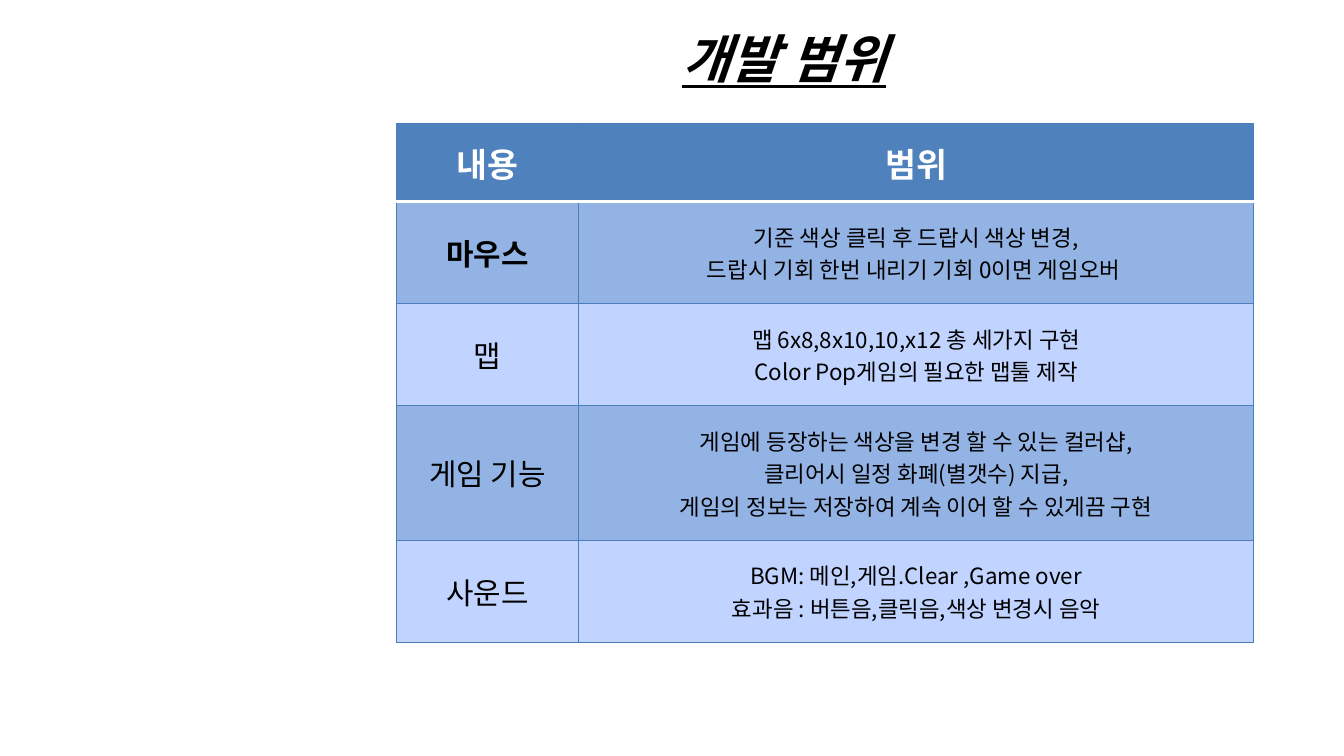
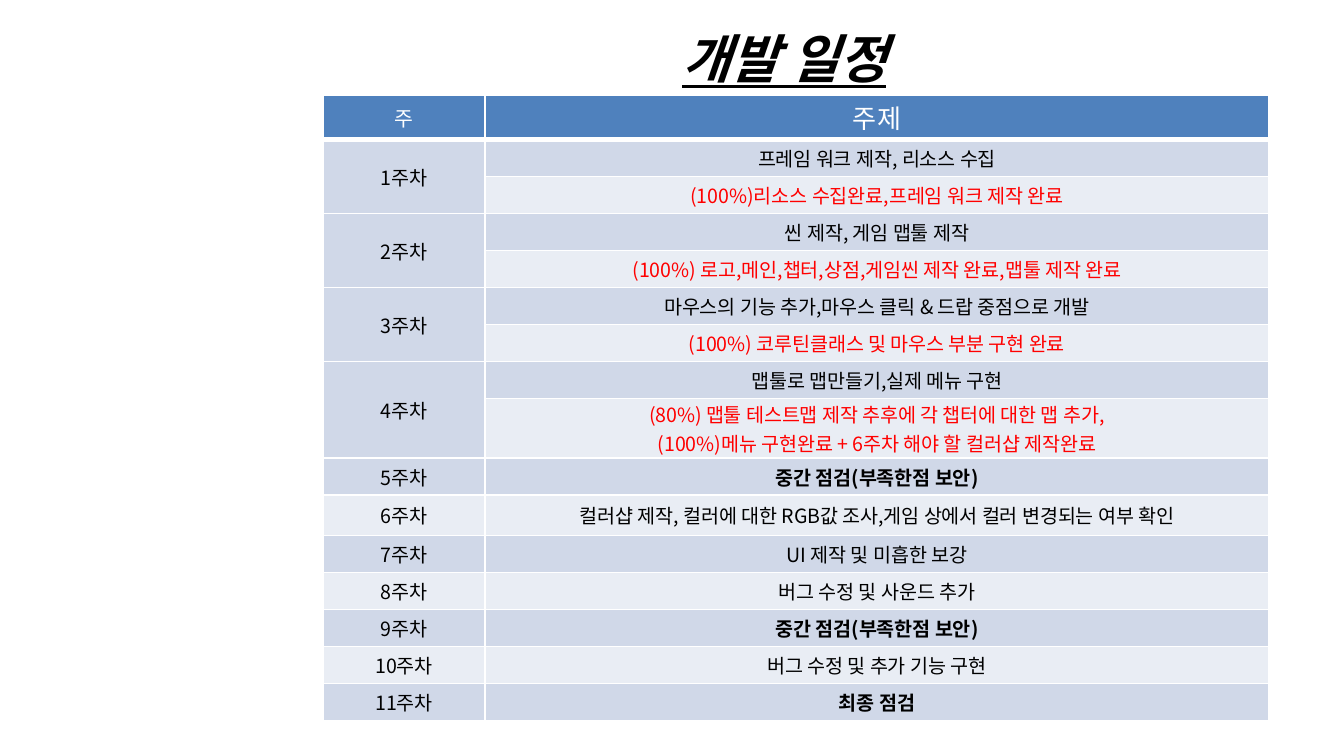
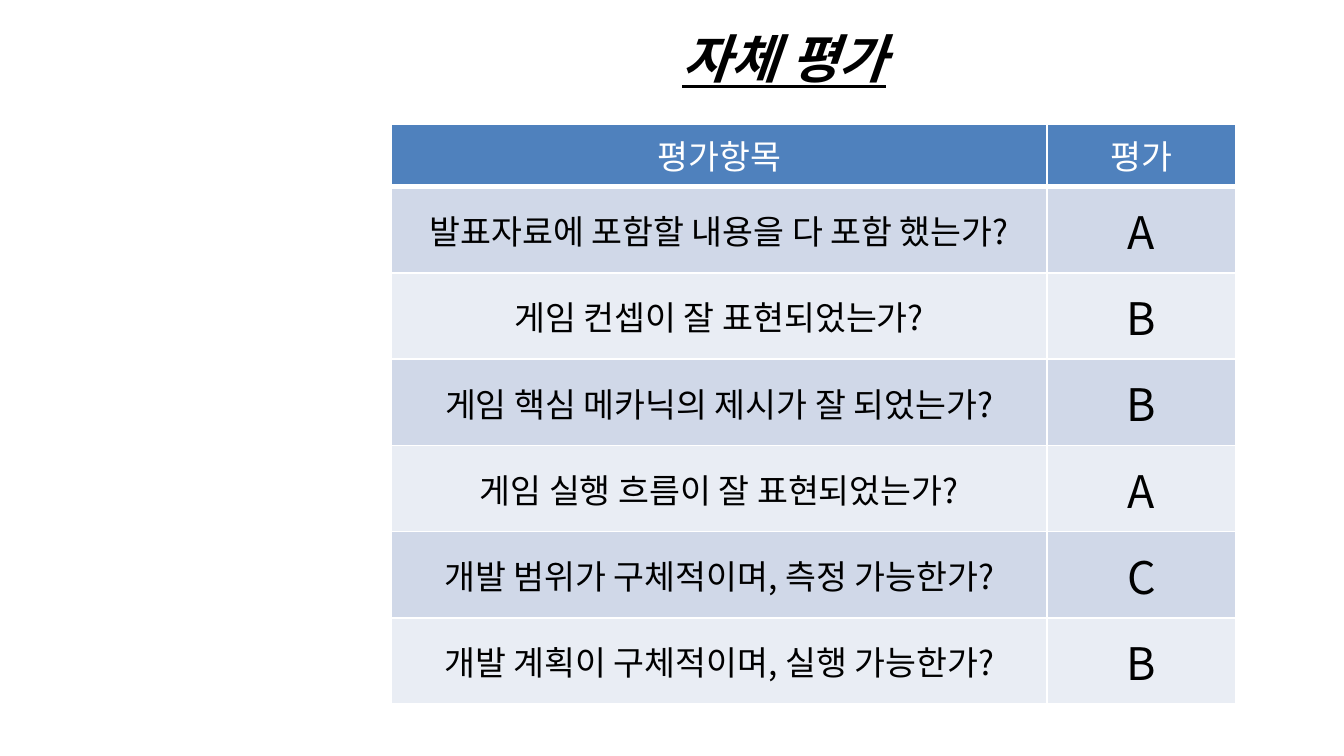
from lxml import etree
from pptx import Presentation
from pptx.dml.color import RGBColor
from pptx.enum.text import MSO_ANCHOR, MSO_AUTO_SIZE, PP_ALIGN
from pptx.oxml.ns import qn
from pptx.util import Cm, Pt

CENTER = PP_ALIGN.CENTER
MIDDLE = MSO_ANCHOR.MIDDLE
GROW = MSO_AUTO_SIZE.SHAPE_TO_FIT_TEXT
TITLE_ONLY = 5

FONT = "Noto Sans CJK KR"
HEADER_FONT = "Calibri"
BLACK, WHITE, RED = "000000", "FFFFFF", "FF0000"
HEADER_FILL = "4F81BD"
GREY_BANDS = ("E9EDF4", "D0D8E8")
BLUE_BANDS = ("C0D4FF", "93B3E5")
BLUE_LINE = "4B7EBC"

TITLE_BOX = (8.1, 0.36, 13.44, 1.45)
TITLE_FORMAT = {"size": Pt(28), "bold": True, "italic": True, "underline": True}

DONE = {"color": RED}
BOLD = {"bold": True}


def rgb(color):
    """Return the colour of a hex string."""
    return RGBColor.from_string(color)


def write(tf, text, name=FONT, color=BLACK, **formats):
    """Fill a text frame with centred paragraphs, one for each line."""
    for i, line in enumerate(text.split("\n")):
        p = tf.add_paragraph() if i else tf.paragraphs[0]
        p.alignment = CENTER
        r = p.add_run()
        r.text = line
        r.font.name = name
        r.font.color.rgb = rgb(color)
        for key, value in formats.items():
            setattr(r.font, key, value)
        if name == FONT:
            etree.SubElement(r.font._element, qn("a:ea"), typeface=name)


def add_titled_slide(prs, text):
    """Add a slide with the shared title."""
    s = prs.slides.add_slide(prs.slide_layouts[TITLE_ONLY])
    sp = s.shapes.title
    sp.left, sp.top, sp.width, sp.height = map(Cm, TITLE_BOX)
    tf = sp.text_frame
    tf.word_wrap = True
    tf.auto_size = GROW
    tf.vertical_anchor = MIDDLE
    tf.margin_top = tf.margin_bottom = 0
    write(tf, text, **TITLE_FORMAT)
    return s


def set_border(cell, side, color, width):
    """Draw one side of a cell: L, R, T or B."""
    tcPr = cell._tc.get_or_add_tcPr()
    ln = etree.SubElement(tcPr, qn("a:ln" + side), w=str(Pt(width)))
    fill = etree.SubElement(ln, qn("a:solidFill"))
    etree.SubElement(fill, qn("a:srgbClr"), val=color)


def add_grid(s, left, top, widths, heights, rows, sizes, header,
             bands=GREY_BANDS, line=(WHITE, 1), rule=(WHITE, 3), margin=0.13):
    """Add a banded table; a row whose first cell is None joins the one above."""
    frame = s.shapes.add_table(len(rows), len(widths), Cm(left), Cm(top),
                               Cm(sum(widths)), Cm(sum(heights)))
    table = frame.table
    table.horz_banding = False
    for column, width in zip(table.columns, widths):
        column.width = Cm(width)
    for row, height in zip(table.rows, heights):
        row.height = Cm(height)
    for i, row in enumerate(rows):
        for j, content in enumerate(row):
            cell = table.cell(i, j)
            cell.vertical_anchor = MIDDLE
            cell.margin_top = cell.margin_bottom = Cm(margin)
            for side in "LRTB":
                on_rule = (i, side) in ((0, "B"), (1, "T"))
                set_border(cell, side, *(rule if on_rule else line))
            cell.fill.solid()
            cell.fill.fore_color.rgb = rgb(bands[i % 2] if i else HEADER_FILL)
            if content is None:
                table.cell(i - 1, j).merge(cell)
                continue
            text, extra = (content, {}) if isinstance(content, str) else content
            base = header[j] if i == 0 else {"size": Pt(sizes[j]), "bold": False}
            write(cell.text_frame, text, **{**base, **extra})


def header_format(size, **extra):
    """Return the format of a header cell."""
    return {"size": Pt(size), "bold": False, "color": WHITE, **extra}


def add_scope(prs):
    """Add the slide on the scope of development."""
    rows = [
        ("내용", "범위"),
        (("마우스", BOLD), "기준 색상 클릭 후 드랍시 색상 변경,\n"
                         "드랍시 기회 한번 내리기 기회 0이면 게임오버 "),
        ("맵", "맵 6x8,8x10,10,x12 총 세가지 구현\n"
              "Color Pop게임의 필요한 맵툴 제작"),
        ("게임 기능", "게임에 등장하는 색상을 변경 할 수 있는 컬러샵,\n"
                   "클리어시 일정 화폐(별갯수) 지급,\n"
                   "게임의 정보는 저장하여 계속 이어 할 수 있게끔 구현"),
        ("사운드", "BGM: 메인,게임.Clear ,Game over\n"
                "효과음 : 버튼음,클릭음,색상 변경시 음악"),
    ]
    s = add_titled_slide(prs, "개발 범위")
    header = [header_format(18, bold=True, name=HEADER_FONT)] * 2
    add_grid(s, 7.49, 2.34, (3.45, 12.75), (1.47, 1.93, 1.93, 2.54, 1.93), rows,
             (16, 12), header, BLUE_BANDS, (BLUE_LINE, 0.75), (WHITE, 2))


def add_schedule(prs):
    """Add the slide with the weekly schedule."""
    weeks = [
        ("프레임 워크 제작, 리소스 수집",
         ("(100%)리소스 수집완료,프레임 워크 제작 완료", DONE)),
        ("씬 제작, 게임 맵툴 제작",
         ("(100%) 로고,메인,챕터,상점,게임씬 제작 완료,맵툴 제작 완료", DONE)),
        ("마우스의 기능 추가,마우스 클릭 & 드랍 중점으로 개발",
         ("(100%) 코루틴클래스 및 마우스 부분 구현 완료", DONE)),
        ("맵툴로 맵만들기,실제 메뉴 구현",
         ("(80%) 맵툴 테스트맵 제작 추후에 각 챕터에 대한 맵 추가,\n"
          "(100%)메뉴 구현완료 + 6주차 해야 할 컬러샵 제작완료", DONE)),
        (("중간 점검(부족한점 보안)", BOLD),),
        ("컬러샵 제작, 컬러에 대한 RGB값 조사,게임 상에서 컬러 변경되는 여부 확인",),
        ("UI 제작 및 미흡한 보강",),
        ("버그 수정 및 사운드 추가",),
        (("중간 점검(부족한점 보안)", BOLD),),
        ("버그 수정 및 추가 기능 구현",),
        (("최종 점검", BOLD),),
    ]
    rows = [("주", "주제")]
    for number, topics in enumerate(weeks, 1):
        for k, topic in enumerate(topics):
            rows.append((None if k else f"{number}주차", topic))
    heights = [0.84] + [0.7] * 7 + [1.13, 0.7, 0.76] + [0.7] * 5
    s = add_titled_slide(prs, "개발 일정")
    add_grid(s, 6.1, 1.8, (3.07, 14.81), heights, rows, (10.5, 10.5),
             [header_format(11), header_format(14)], margin=0.03)


def add_evaluation(prs):
    """Add the slide with the self-evaluation."""
    rows = [
        ("평가항목", "평가"),
        ("발표자료에 포함할 내용을 다 포함 했는가?", "A"),
        ("게임 컨셉이 잘 표현되었는가?", "B"),
        ("게임 핵심 메카닉의 제시가 잘 되었는가?", "B"),
        ("게임 실행 흐름이 잘 표현되었는가?", "A"),
        ("개발 범위가 구체적이며, 측정 가능한가?", "C"),
        ("개발 계획이 구체적이며, 실행 가능한가?", "B"),
    ]
    s = add_titled_slide(prs, "자체 평가")
    add_grid(s, 7.39, 2.34, (12.4, 3.56), [1.19] + [1.63] * 6, rows, (18, 24),
             [header_format(18)] * 2)


prs = Presentation()
prs.slide_width, prs.slide_height = Cm(25.4), Cm(14.29)
add_scope(prs)
add_schedule(prs)
add_evaluation(prs)
prs.save("out.pptx")
